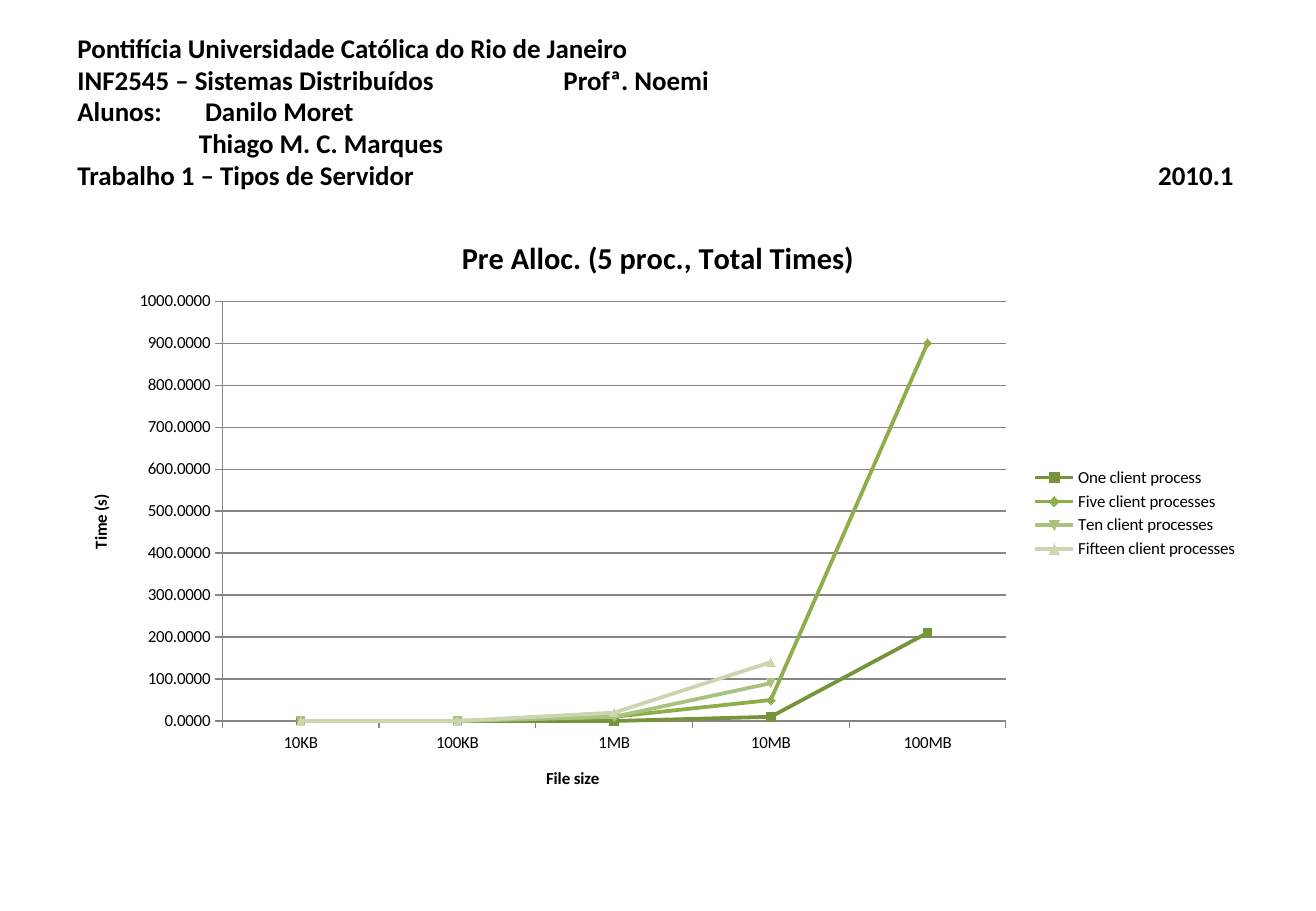
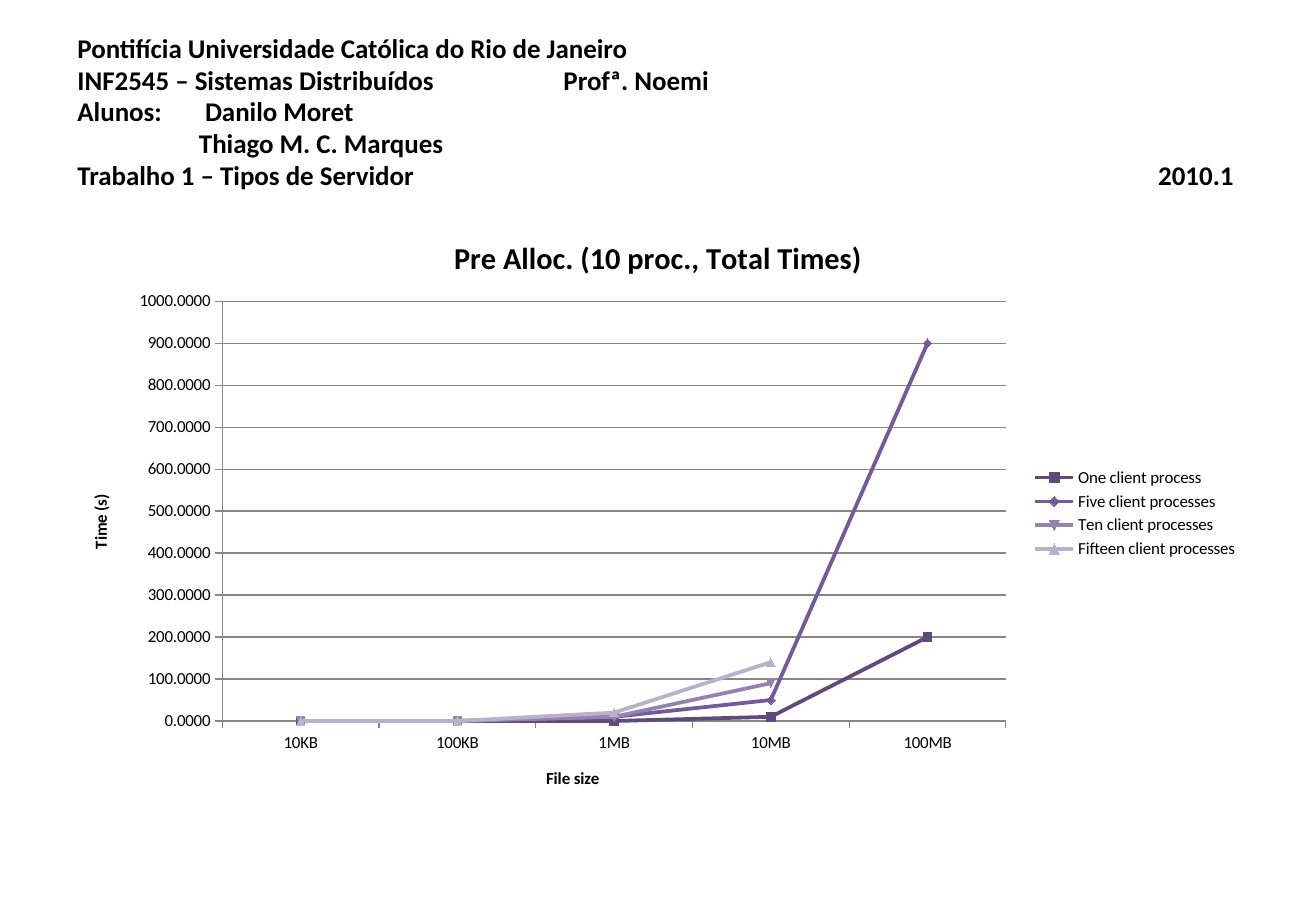
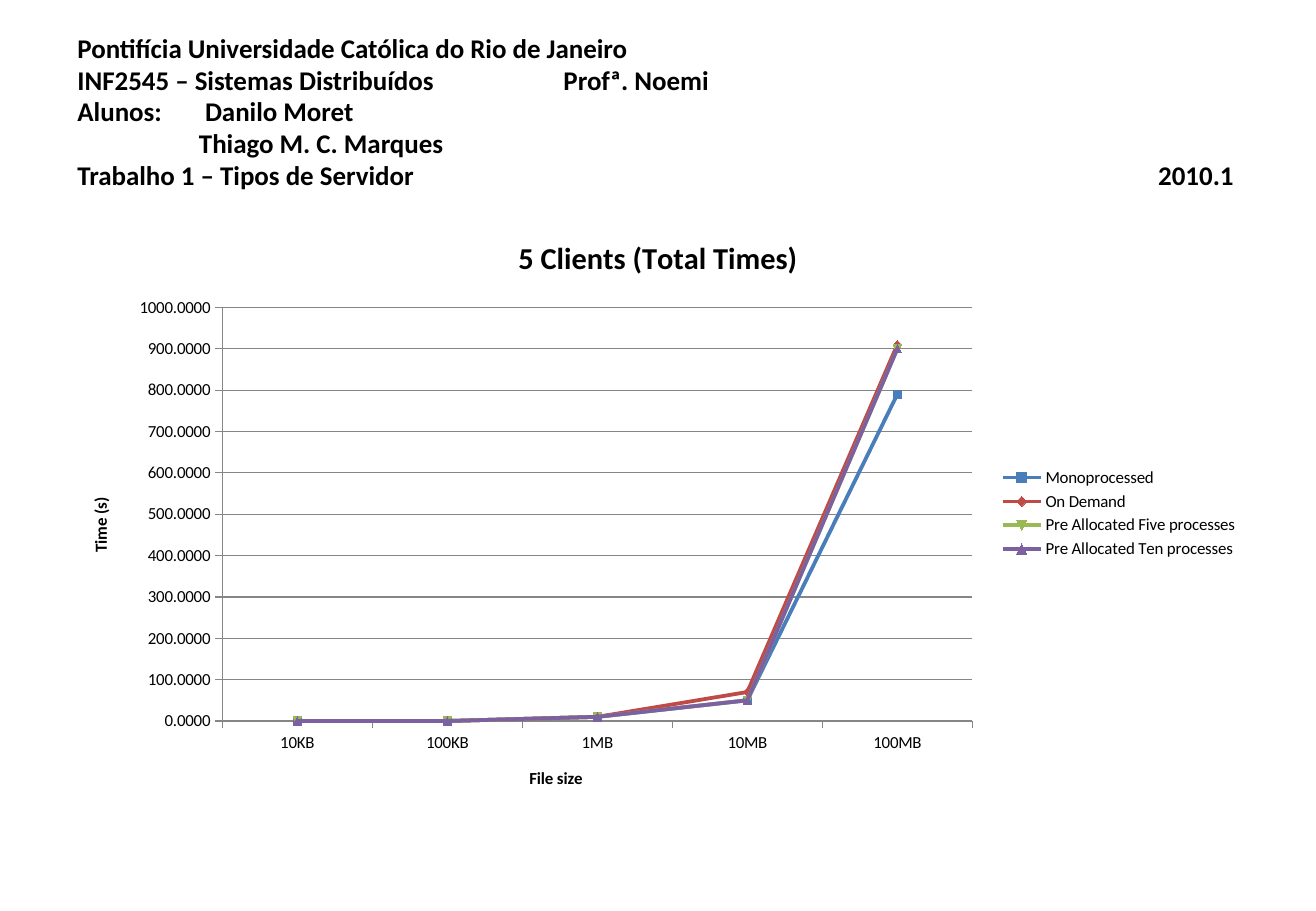
import pptx
import pptx.util
import pptx.chart.data
import pptx.dml.color
import pptx.enum.chart
import pptx.enum.text
import pptx.oxml.ns
from lxml import etree

Cm, Pt = pptx.util.Cm, pptx.util.Pt
FONT = "Calibri"
HEX = {
    "text": "000000", "axis": "868686",
    "green": ["77933C", "8DAE4B", "A9C37F", "C9D6AF"],
    "purple": ["604A7B", "755A97", "9483AF", "BAB0CA"],
    "mixed": ["4A7EBB", "BE4B48", "98B954", "7D60A0"],
}
WIDE, HIGH = 27.51, 19.05
EDGE = 1.37
SPAN = 24.77

HEAD = "\v".join([
    "Pontifícia Universidade Católica do Rio de Janeiro",
    "INF2545 – Sistemas Distribuídos\tProfª. Noemi",
    "Alunos:\t Danilo Moret",
    "\tThiago M. C. Marques",
    "Trabalho 1 – Tipos de Servidor\t\t2010.1",
])
STOPS = [(2.54, "l"), (10.16, "l"), (24.17, "r")]
SIZES = ["10KB", "100KB", "1MB", "10MB", "100MB"]
LOADS = ["One client process", "Five client processes",
         "Ten client processes", "Fifteen client processes"]
KINDS = ["Monoprocessed", "On Demand",
         "Pre Allocated Five processes", "Pre Allocated Ten processes"]
SLOW = [[0, 0, 10, 50, 900], [0, 0, 10, 90, None], [0, 0, 20, 140, None]]

# title, series names, values, palette, top and width of the plot in cm
PAGES = [
    ("Pre Alloc. (5 proc., Total Times)", LOADS,
     [[0, 0, 0, 10, 210]] + SLOW, "green", 1.85, 16.38),
    ("Pre Alloc. (10 proc., Total Times)", LOADS,
     [[0, 0, 0, 10, 200]] + SLOW, "purple", 1.85, 16.38),
    ("5 Clients (Total Times)", KINDS,
     [[0, 0, 10, 50, 790], [0, 0, 10, 70, 910],
      [0, 0, 10, 50, 900], [0, 0, 10, 50, 900]], "mixed", 1.98, 15.68),
]


def tint(name):
    return pptx.dml.color.RGBColor.from_string(name)


def style(font, size, bold=False):
    font.name, font.size, font.bold = FONT, Pt(size), bold
    font.color.rgb = tint(HEX["text"])


def write(frame, text, size=10, bold=True, space=None):
    para = frame.paragraphs[0]
    para.text = text
    para.line_spacing = space
    for run in para.runs:
        style(run.font, size, bold)
    return para


def node(root, tag, **attrs):
    return etree.SubElement(root, pptx.oxml.ns.qn(tag), **attrs)


# Course heading
def header(slide, left, top, width, height):
    box = slide.shapes.add_textbox(Cm(left), Cm(top), Cm(width), Cm(height))
    frame = box.text_frame
    frame.word_wrap = True
    frame.vertical_anchor = pptx.enum.text.MSO_ANCHOR.MIDDLE
    para = write(frame, HEAD, size=16, space=0.98)
    tabs = node(para._p.get_or_add_pPr(), "a:tabLst")
    for place, side in STOPS:
        node(tabs, "a:tab", pos=str(int(Cm(place))), algn=side)


# Inner plot area, as shares of the chart box
def place(chart, **parts):
    area = chart._chartSpace.chart.plotArea
    for old in area.findall(pptx.oxml.ns.qn("c:layout")):
        area.remove(old)
    outer = node(area, "c:layout")
    area.insert(0, outer)
    inner = node(outer, "c:manualLayout")
    node(inner, "c:layoutTarget", val="inner")
    for key in "xy":
        node(inner, f"c:{key}Mode", val="edge")
    for key, share in parts.items():
        node(inner, f"c:{key}", val=f"{share:.4f}")


def line(form, color, width):
    form.line.color.rgb = tint(color)
    form.line.width = Pt(width)


def axis(item, title):
    write(item.axis_title.text_frame, title)
    item.major_tick_mark = pptx.enum.chart.XL_TICK_MARK.OUTSIDE
    style(item.tick_labels.font, 10)
    line(item.format, HEX["axis"], 0.75)


# Line chart of the times
def graph(slide, page, left, top, width, height):
    title, names, rows, shade, start, across = page
    data = pptx.chart.data.CategoryChartData(number_format="0.0000")
    data.categories = SIZES
    for name, row in zip(names, rows):
        data.add_series(name, row)
    kind = pptx.enum.chart.XL_CHART_TYPE.LINE_MARKERS
    chart = slide.shapes.add_chart(
        kind, Cm(left), Cm(top), Cm(width), Cm(height), data).chart
    style(chart.font, 10)
    chart.has_title = True
    write(chart.chart_title.text_frame, title, size=18)
    chart.chart_title.include_in_layout = False
    place(chart, x=3.28 / width, y=start / height,
          w=across / width, h=(10.63 - start) / height)

    # Axes
    axis(chart.category_axis, "File size")
    value = chart.value_axis
    axis(value, "Time (s)")
    value.minimum_scale, value.maximum_scale = 0, 1000
    value.major_unit = 100
    value.tick_labels.number_format = "0.0000"
    value.tick_labels.number_format_is_linked = False
    line(value.major_gridlines.format, HEX["axis"], 0.75)

    # Legend and series
    chart.has_legend = True
    chart.legend.position = pptx.enum.chart.XL_LEGEND_POSITION.RIGHT
    chart.legend.include_in_layout = False
    style(chart.legend.font, 10)
    plot = chart.plots[0]
    plot.vary_by_categories = False
    for series, color in zip(plot.series, HEX[shade]):
        series.smooth = False
        line(series.format, color, 2.25)


deck = pptx.Presentation()
deck.slide_width, deck.slide_height = Cm(WIDE), Cm(HIGH)
for page in PAGES:
    slide = deck.slides.add_slide(deck.slide_layouts[6])
    header(slide, EDGE, 0.76, SPAN, 3.18)
    graph(slide, page, EDGE, 4.45, SPAN, 12.57)
deck.save("out.pptx")
